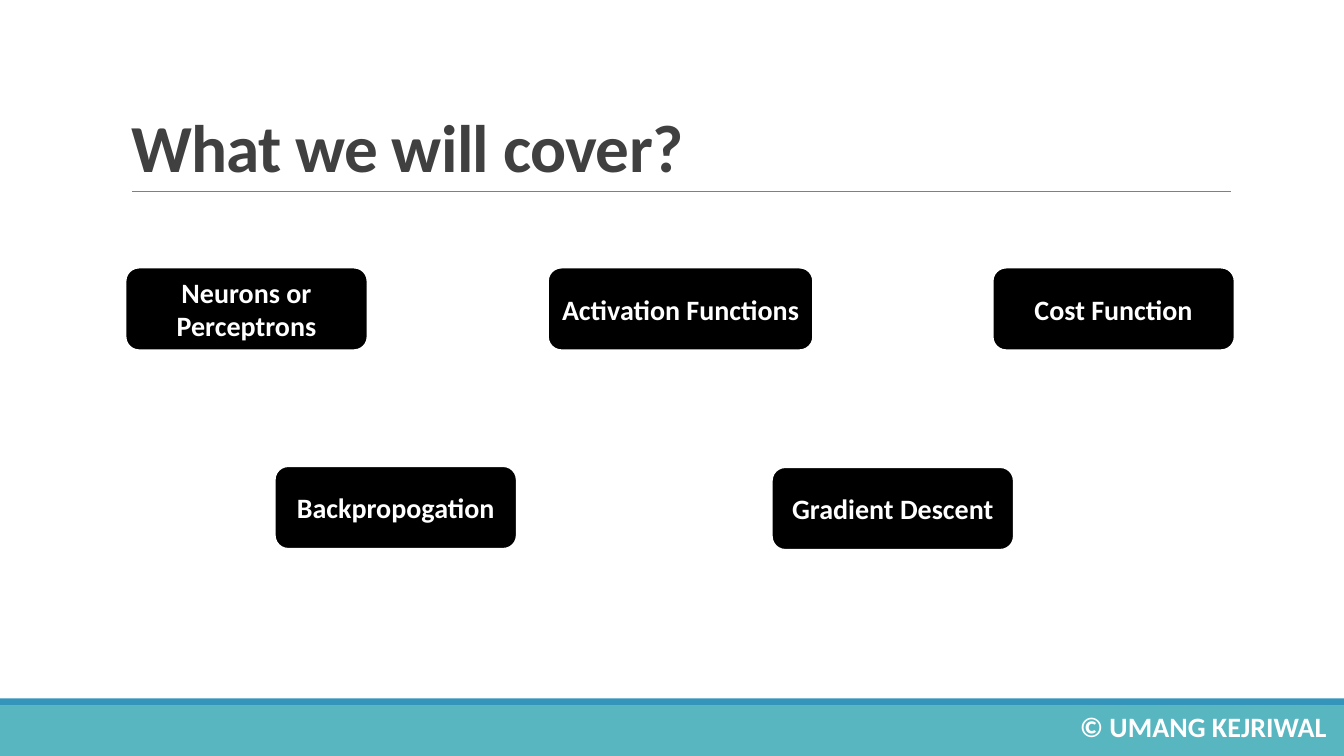
from dataclasses import dataclass

from lxml import etree
from pptx import Presentation
from pptx.dml.color import RGBColor
from pptx.enum import shapes, text
from pptx.oxml import ns
from pptx.util import Inches, Pt

FONT = "Calibri"
WHITE = "FFFFFF"
BLACK = "000000"
TOPIC_HEIGHT = 0.83


@dataclass
class Topic:
    """A rounded box naming one subject of the talk."""
    label: str
    left: float
    top: float
    width: float = 2.41


@dataclass
class Band:
    """A full-width strip in the footer."""
    top: float
    height: float
    color: str


TOPICS = [
    Topic("Neurons or Perceptrons", 1.24, 2.65),
    Topic("Activation Functions", 5.43, 2.65, 2.64),
    Topic("Cost Function", 9.84, 2.65),
    Topic("Gradient Descent", 7.65, 4.63),
    Topic("Backpropogation", 2.72, 4.62),
]
BANDS = [Band(7, 0.5, "58B6C0"), Band(6.93, 0.07, "3494BA")]


def rgb(color: str) -> RGBColor:
    """Turn a hex string into a colour."""
    return RGBColor.from_string(color)


def style(para, size: float, color: str, align=text.PP_ALIGN.LEFT) -> None:
    """Set the bold slide font and alignment on a paragraph."""
    para.alignment = align
    para.font.name = FONT
    para.font.size = Pt(size)
    para.font.bold = True
    para.font.color.rgb = rgb(color)


def add_band(page, band: Band) -> None:
    """Draw a footer strip."""
    strip = page.shapes.add_shape(
        shapes.MSO_SHAPE.RECTANGLE, 0, Inches(band.top),
        Inches(13.33), Inches(band.height))
    strip.shadow.inherit = False
    strip.fill.solid()
    strip.fill.fore_color.rgb = rgb(band.color)
    strip.line.fill.background()


def add_rule(page) -> None:
    """Draw the thin line under the title."""
    rule = page.shapes.add_connector(
        shapes.MSO_CONNECTOR.STRAIGHT,
        Inches(1.31), Inches(1.9), Inches(12.21), Inches(1.9))
    rule.line.color.rgb = rgb("808080")
    rule.line.width = Pt(0.5)
    etree.SubElement(rule._element.spPr, ns.qn("a:effectLst"))


def fill_title(page, wording: str) -> None:
    """Place and format the title placeholder."""
    title = page.shapes.title
    title.left, title.top = Inches(1.2), Inches(0.31)
    title.width, title.height = Inches(11), Inches(1.59)
    frame = title.text_frame
    frame.text = wording
    frame.word_wrap = True
    frame.auto_size = text.MSO_AUTO_SIZE.NONE
    frame.vertical_anchor = text.MSO_ANCHOR.BOTTOM
    para = frame.paragraphs[0]
    style(para, 48, "404040")
    para.line_spacing = 0.85
    para.runs[0]._r.get_or_add_rPr().set("spc", "-50")


def add_topic(page, topic: Topic) -> None:
    """Draw one topic box with its centred label."""
    box = page.shapes.add_shape(
        shapes.MSO_SHAPE.FLOWCHART_ALTERNATE_PROCESS,
        Inches(topic.left), Inches(topic.top),
        Inches(topic.width), Inches(TOPIC_HEIGHT))
    box.shadow.inherit = False
    box.fill.solid()
    box.fill.fore_color.rgb = rgb(BLACK)
    box.line.color.rgb = rgb(WHITE)
    box.line.width = Pt(2)
    frame = box.text_frame
    frame.text = topic.label
    frame.word_wrap = True
    frame.vertical_anchor = text.MSO_ANCHOR.MIDDLE
    style(frame.paragraphs[0], 20, WHITE, text.PP_ALIGN.CENTER)


def add_credit(page, wording: str) -> None:
    """Write the author's name in the footer."""
    box = page.shapes.add_textbox(
        Inches(10.71), Inches(7.03), Inches(2.6), Inches(0.45))
    frame = box.text_frame
    frame.text = wording
    frame.word_wrap = True
    frame.margin_left = frame.margin_right = 0
    para = frame.paragraphs[0]
    style(para, 20, WHITE)
    para.line_spacing = 0.9


deck = Presentation()
deck.slide_width, deck.slide_height = Inches(13.33), Inches(7.5)
page = deck.slides.add_slide(deck.slide_layouts.get_by_name("Title Only"))
for band in BANDS:
    add_band(page, band)
add_rule(page)
fill_title(page, "What we will cover?")
for topic in TOPICS:
    add_topic(page, topic)
add_credit(page, "© UMANG KEJRIWAL")
deck.save("out.pptx")
